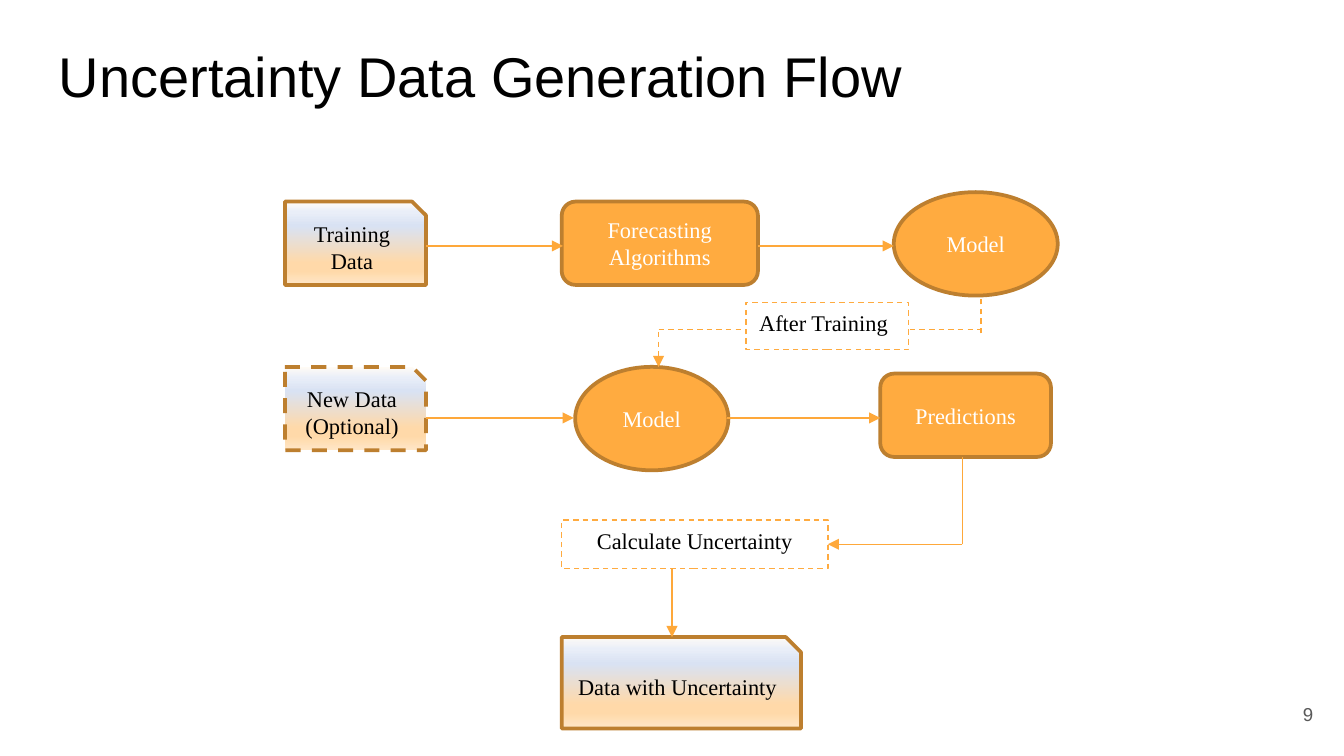
from dataclasses import dataclass

from lxml import etree
from pptx import Presentation
from pptx.dml.color import RGBColor
from pptx.enum import dml, shapes, text
from pptx.oxml import ns
from pptx.util import Inches, Pt

SHAPE = shapes.MSO_SHAPE
ALIGN = text.PP_ALIGN
ANCHOR = text.MSO_ANCHOR


@dataclass(frozen=True)
class Theme:
    orange: str = "FFAB40"
    arrow: str = "FEA83A"
    border: str = "BD7F2F"
    white: str = "FFFFFF"
    black: str = "000000"
    gray: str = "595959"
    data_stops: tuple = ((0, "FFFBF5"), (13, "E9EEF8"), (29, "D9E2F3"),
                         (74, "FFD9A9"), (83, "FFD9A9"), (100, "FFE6C6"))
    heading_font: str = "Arial"
    label_font: str = "Times New Roman"
    title_size: float = 30
    label_size: float = 12
    number_size: float = 10
    border_width: float = 2
    thin_width: float = 0.75


def write_text(tf, content, *, font, size, color, align=ALIGN.LEFT, anchor=ANCHOR.TOP):
    tf.word_wrap = True
    tf.vertical_anchor = anchor
    p = tf.paragraphs[0]
    p.alignment = align
    for i, line in enumerate(content.split("\n")):
        if i:
            p.add_line_break()
        r = p.add_run()
        r.text = line
        r.font.name = font
        r.font.size = Pt(size)
        r.font.color.rgb = RGBColor.from_string(color)


class FlowSlide:
    def __init__(self, slide, theme):
        self.s = slide
        self.theme = theme

    def text_box(self, content, x, y, w, h, **style):
        sp = self.s.shapes.add_textbox(Inches(x), Inches(y), Inches(w), Inches(h))
        tf = sp.text_frame
        tf.margin_left = tf.margin_right = tf.margin_top = tf.margin_bottom = Inches(0.1)
        write_text(tf, content, font=self.theme.heading_font, **style)

    def outline(self, line, color, width, dashed):
        line.color.rgb = RGBColor.from_string(color)
        line.width = Pt(width)
        if dashed:
            line.dash_style = dml.MSO_LINE.DASH

    def box(self, kind, content, x, y, w, h, *, fill, border, width, text_color,
            dashed=False, align=ALIGN.CENTER, anchor=ANCHOR.MIDDLE):
        sp = self.s.shapes.add_shape(kind, Inches(x), Inches(y), Inches(w), Inches(h))
        sp.shadow.inherit = False
        sp.fill.solid()
        sp.fill.fore_color.rgb = RGBColor.from_string(fill)
        self.outline(sp.line, border, width, dashed)
        write_text(sp.text_frame, content, font=self.theme.label_font,
                   size=self.theme.label_size, color=text_color, align=align, anchor=anchor)
        return sp

    def step(self, kind, content, x, y, w, h):
        t = self.theme
        self.box(kind, content, x, y, w, h, fill=t.orange, border=t.border,
                 width=t.border_width, text_color=t.white)

    def data(self, content, x, y, w, h, dashed=False):
        """Snipped card with a vertical gradient."""
        t = self.theme
        sp = self.box(SHAPE.SNIP_1_RECTANGLE, content, x, y, w, h, fill=t.white,
                      border=t.border, width=t.border_width, text_color=t.black, dashed=dashed)
        sp.fill.gradient()
        sp.fill.gradient_angle = 270
        stops = sp.element.spPr.find(".//" + ns.qn("a:gsLst"))
        for old in list(stops):
            stops.remove(old)
        for position, color in t.data_stops:
            stop = etree.SubElement(stops, ns.qn("a:gs"), pos=str(position * 1000))
            etree.SubElement(stop, ns.qn("a:srgbClr"), val=color)

    def note(self, content, x, y, w, h, align=ALIGN.CENTER):
        t = self.theme
        self.box(SHAPE.RECTANGLE, content, x, y, w, h, fill=t.white, border=t.orange,
                 width=t.thin_width, text_color=t.black, dashed=True, align=align,
                 anchor=ANCHOR.TOP)

    def link(self, x1, y1, x2, y2, head=True, dashed=False):
        c = self.s.shapes.add_connector(shapes.MSO_CONNECTOR.STRAIGHT, Inches(x1),
                                        Inches(y1), Inches(x2), Inches(y2))
        self.outline(c.line, self.theme.arrow, self.theme.thin_width, dashed)
        sp_pr = c.element.spPr
        if head:
            etree.SubElement(sp_pr.find(ns.qn("a:ln")), ns.qn("a:tailEnd"), type="triangle")
        etree.SubElement(sp_pr, ns.qn("a:effectLst"))


def main():
    prs = Presentation()
    prs.slide_width = Inches(10)
    prs.slide_height = Inches(10) * 9 // 16
    theme = Theme()
    flow = FlowSlide(prs.slides.add_slide(prs.slide_layouts[6]), theme)

    flow.text_box("Uncertainty Data Generation Flow", 0.34, 0.21, 9.32, 0.63,
                  size=theme.title_size, color=theme.black)
    flow.text_box("9", 9.27, 5.1, 0.6, 0.43, size=theme.number_size, color=theme.gray,
                  align=ALIGN.RIGHT, anchor=ANCHOR.MIDDLE)

    # Training row
    row = 1.83
    flow.data("Training Data", 2.12, 1.5, 1.05, 0.62)
    flow.step(SHAPE.ROUNDED_RECTANGLE, "Forecasting Algorithms", 4.18, 1.5, 1.46, 0.62)
    flow.step(SHAPE.OVAL, "Model", 6.65, 1.43, 1.22, 0.77)
    flow.link(3.17, row, 4.19, row)
    flow.link(5.64, row, 6.65, row)

    # Prediction row
    row = 3.11
    flow.data("New Data\n(Optional)", 2.12, 2.73, 1.05, 0.62, dashed=True)
    flow.step(SHAPE.OVAL, "Model", 4.28, 2.73, 1.14, 0.77)
    flow.step(SHAPE.ROUNDED_RECTANGLE, "Predictions", 6.55, 2.78, 1.27, 0.62)
    flow.link(3.17, row, 4.27, row)
    flow.link(5.41, row, 6.55, row)

    # Trained model carried down to the prediction row
    turn = 2.45
    flow.note("After Training", 5.55, 2.25, 1.21, 0.35, align=ALIGN.LEFT)
    flow.link(7.3, 2.48, 7.3, 2.2, head=False, dashed=True)
    flow.link(6.77, turn, 7.3, turn, head=False, dashed=True)
    flow.link(4.9, turn, 5.55, turn, head=False, dashed=True)
    flow.link(4.9, 2.47, 4.9, 2.73, dashed=True)

    # Uncertainty output
    row = 4.05
    flow.note("Calculate Uncertainty", 4.18, 3.87, 1.98, 0.36)
    flow.data("Data with Uncertainty", 4.18, 4.74, 1.78, 0.68)
    flow.link(7.16, row, 7.16, 3.4, head=False)
    flow.link(7.16, row, 6.16, row)
    flow.link(5, 4.23, 5, 4.74)

    prs.save("out.pptx")


if __name__ == "__main__":
    main()
